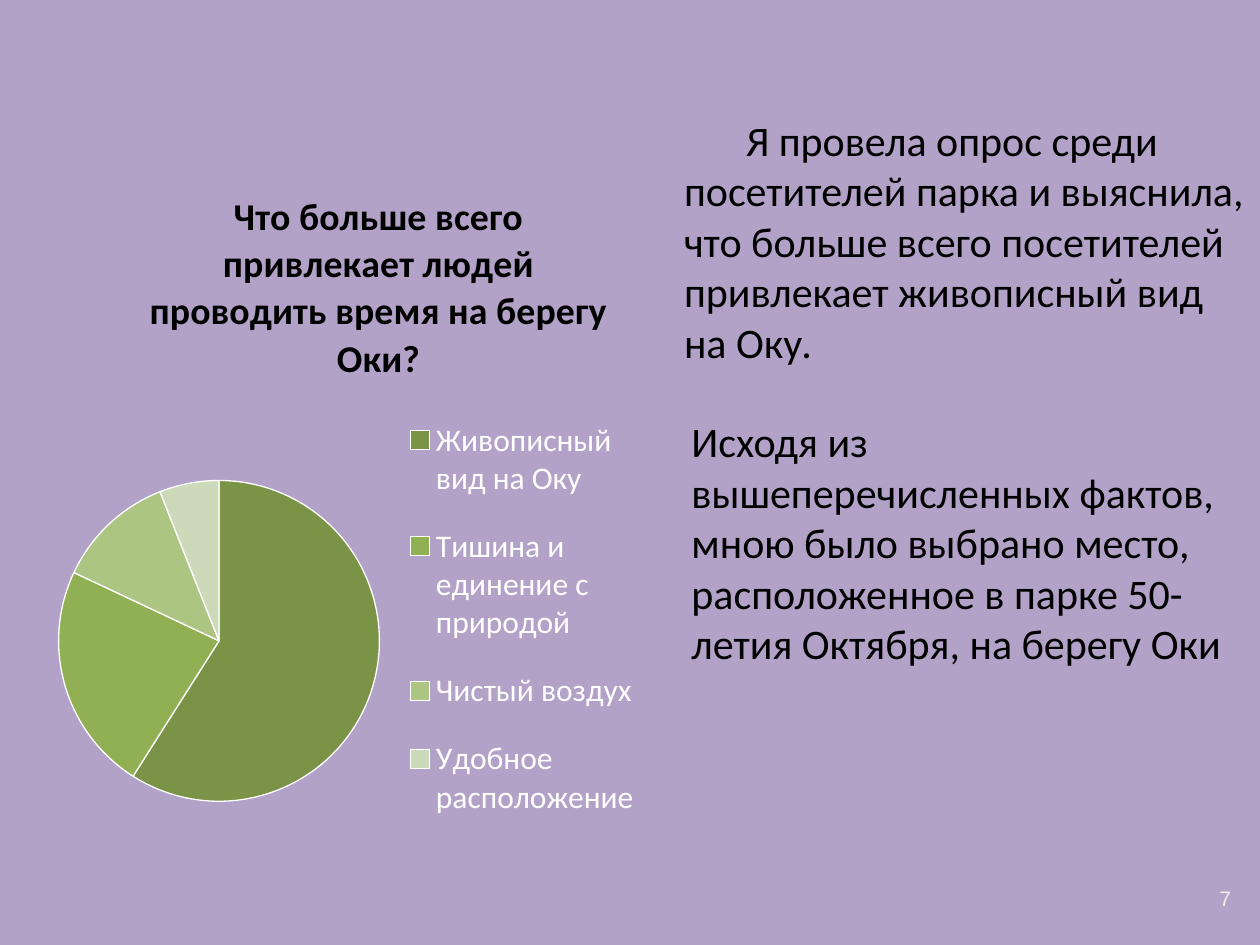
import dataclasses

import lxml.etree
import pptx
import pptx.chart.data
import pptx.dml.color
import pptx.enum.chart
import pptx.enum.text
import pptx.oxml.ns
import pptx.util

Cm = pptx.util.Cm
Pt = pptx.util.Pt
RGB = pptx.dml.color.RGBColor.from_string
ANCHOR = pptx.enum.text.MSO_ANCHOR
ALIGN = pptx.enum.text.PP_ALIGN


@dataclasses.dataclass(frozen=True)
class Theme:
    background: str = "B3A2C7"
    ink: str = "000000"
    light: str = "FFFFFF"
    number: str = "F2F1E8"
    slices: tuple = ("7A9347", "91AF53", "ADC583", "CDDABA")
    font: str = "Calibri"
    number_font: str = "Arial"
    body_size: float = 24
    title_size: float = 21.6
    legend_size: float = 18
    number_size: float = 12


theme = Theme()
presentation = pptx.Presentation()
presentation.slide_width = Cm(25.4)
presentation.slide_height = Cm(19.05)
slide = presentation.slides.add_slide(presentation.slide_layouts[6])
slide.background.fill.solid()
slide.background.fill.fore_color.rgb = RGB(theme.background)


def add_text(text, *, box, size=theme.body_size, color=theme.ink, font=theme.font,
             anchor=ANCHOR.TOP, align=ALIGN.LEFT, indent=0, wrap=True):
    shape = slide.shapes.add_textbox(*map(Cm, box))
    frame = shape.text_frame
    frame.word_wrap = wrap
    frame.vertical_anchor = anchor
    paragraph = frame.paragraphs[0]
    paragraph.text = text
    paragraph.alignment = align
    if indent:
        paragraph._p.get_or_add_pPr().set("indent", str(Cm(indent)))
    paragraph.font.size = Pt(size)
    paragraph.font.name = font
    paragraph.font.color.rgb = RGB(color)


def place(element, index, **settings):
    qn = pptx.oxml.ns.qn
    for old in element.findall(qn("c:layout")):
        element.remove(old)
    layout = lxml.etree.Element(qn("c:layout"))
    manual = lxml.etree.SubElement(layout, qn("c:manualLayout"))
    for name, value in settings.items():
        lxml.etree.SubElement(manual, qn(f"c:{name}")).set("val", str(value))
    element.insert(index, layout)


add_text("7", box=(24.18, 17.73, 1.04, 0.76), size=theme.number_size,
         color=theme.number, font=theme.number_font, anchor=ANCHOR.MIDDLE,
         align=ALIGN.CENTER, wrap=False)
add_text("Я провела опрос среди посетителей парка и выяснила, что больше всего "
         "посетителей привлекает живописный вид на Оку.",
         box=(13.54, 2.16, 11.86, 5.38), anchor=ANCHOR.MIDDLE, indent=1.25)

question = "Что больше всего привлекает людей проводить время на берегу Оки?"
answers = {
    "Живописный вид на Оку": 59,
    "Тишина и единение с природой": 23,
    "Чистый воздух": 12,
    "Удобное расположение": 6,
}
chart_data = pptx.chart.data.CategoryChartData()
chart_data.categories = list(answers)
chart_data.add_series(question, list(answers.values()))
chart = slide.shapes.add_chart(
    pptx.enum.chart.XL_CHART_TYPE.PIE,
    Cm(0.79), Cm(3.07), Cm(12.29), Cm(15.04), chart_data).chart
chart.font.name = theme.font
chart.font.size = Pt(theme.legend_size)
chart.font.color.rgb = RGB(theme.light)

chart.has_title = True
title = chart.chart_title
title.include_in_layout = False
title_paragraph = title.text_frame.paragraphs[0]
title_paragraph.text = question
for title_font in (title_paragraph.font, title_paragraph.runs[0].font):
    title_font.name = theme.font
    title_font.size = Pt(theme.title_size)
    title_font.bold = True
    title_font.color.rgb = RGB(theme.ink)
place(title._element, 1, xMode="edge", yMode="edge", x=0.17, y=0.04)

chart.has_legend = True
legend = chart.legend
legend.position = pptx.enum.chart.XL_LEGEND_POSITION.RIGHT
legend.include_in_layout = False
legend.font.name = theme.font
legend.font.size = Pt(theme.legend_size)
legend.font.color.rgb = RGB(theme.light)
place(legend._element, 1, xMode="edge", yMode="edge", x=0.6, y=0.32, w=0.39, h=0.61)

plot = chart.plots[0]
plot.vary_by_categories = True
place(chart._chartSpace.chart.plotArea, 0, layoutTarget="inner",
      xMode="edge", yMode="edge", x=0.03, y=0.44, w=0.53, h=0.43)
for index, color in enumerate(theme.slices):
    point_format = plot.series[0].points[index].format
    point_format.fill.solid()
    point_format.fill.fore_color.rgb = RGB(color)
    point_format.line.color.rgb = RGB(theme.light)
    point_format.line.width = Pt(0.75)

add_text("Исходя из вышеперечисленных фактов, мною было выбрано место, "
         "расположенное в парке 50-летия Октября, на берегу Оки",
         box=(13.69, 8.26, 11.28, 5.38))

presentation.save("out.pptx")
